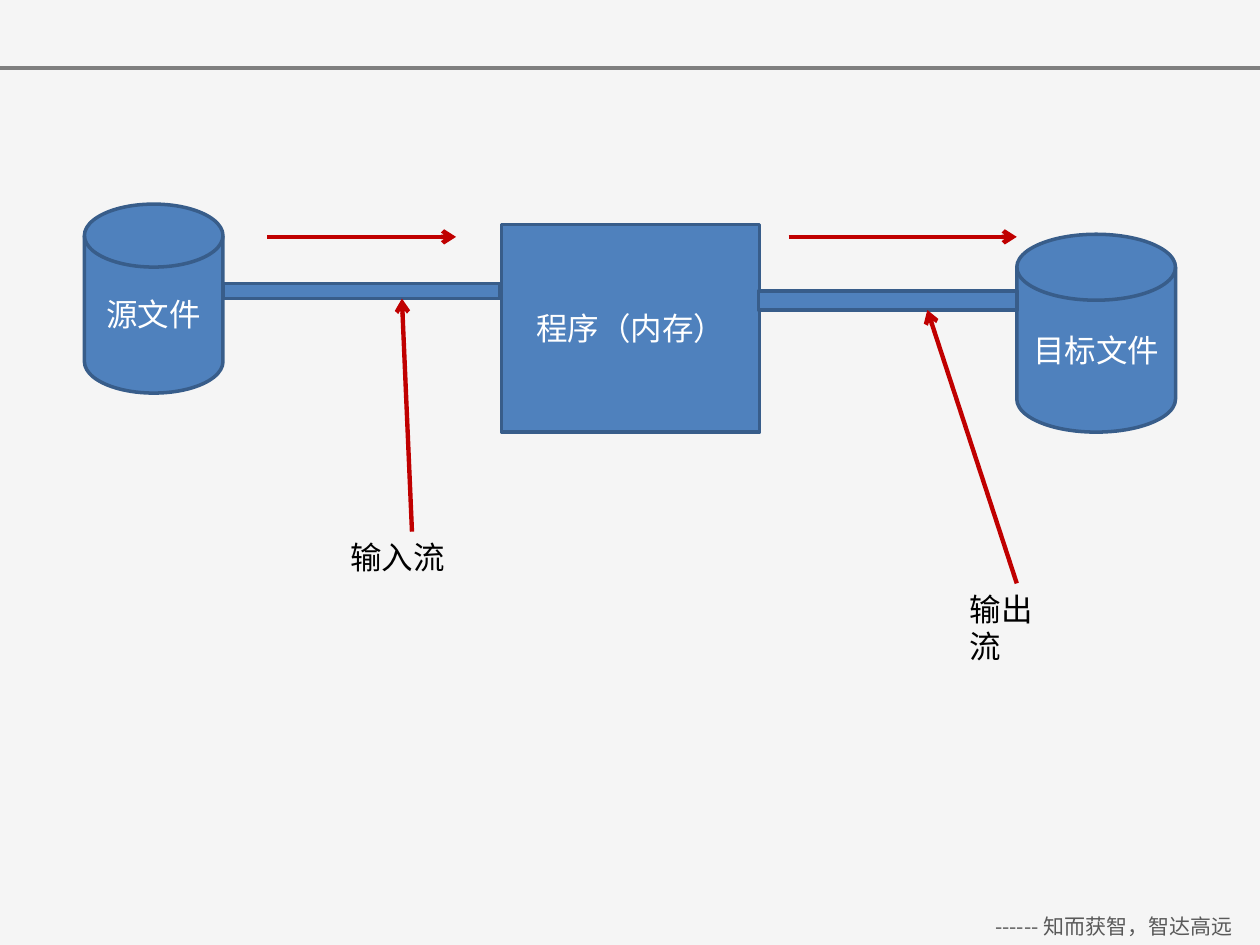
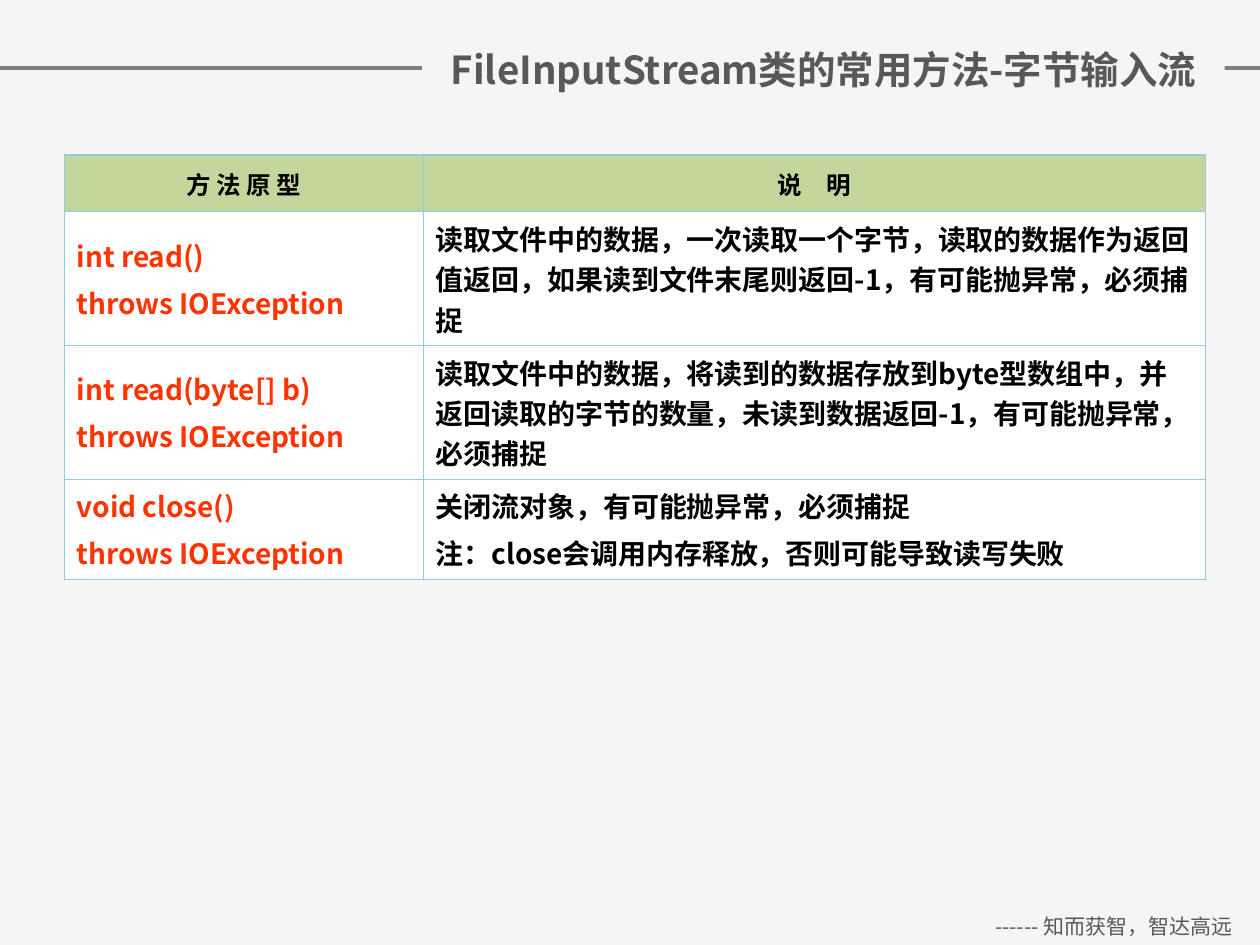
from dataclasses import dataclass

from pptx import Presentation
from pptx.dml.color import RGBColor
from pptx.enum.shapes import MSO_CONNECTOR, MSO_SHAPE as Shape
from pptx.enum.text import MSO_ANCHOR as Anchor, PP_ALIGN as Align
from pptx.oxml.xmlchemy import OxmlElement
from pptx.util import Inches, Pt

TITLE_ONLY, BLANK = 5, 6
TOP_SIDE = 0


@dataclass(frozen=True)
class Theme:
    background: str = "F5F5F5"
    rule: str = "7F7F7F"
    footer: str = "595959"
    title: str = "595758"
    node: str = "4F81BD"
    node_edge: str = "385D8A"
    arrow: str = "C00000"
    grid: str = "93CDDD"
    header: str = "C3D69B"
    method: str = "FF3300"
    white: str = "FFFFFF"
    black: str = "000000"
    cjk_font: str = "Noto Sans CJK SC"
    node_font: str = "Calibri"
    label_font: str = "Arial"
    title_size: float = 22
    diagram_size: float = 18
    body_size: float = 16
    header_size: float = 14
    footer_size: float = 12
    paragraph_gap: float = 4
    outer_border: float = 0.75
    inner_border: float = 0.45


THEME = Theme()


def rgb(value):
    return RGBColor.from_string(value)


def box(*lengths):
    return [Inches(length) for length in lengths]


def write(frame, text, size, color, font=THEME.cjk_font, bold=False,
          align=Align.LEFT):
    """Fill a text frame, one paragraph for each line of text."""
    for index, line in enumerate(text.split("\n")):
        paragraph = frame.paragraphs[0] if index == 0 else frame.add_paragraph()
        paragraph.alignment = align
        if index:
            paragraph.space_before = Pt(THEME.paragraph_gap)
        run = paragraph.add_run()
        run.text = line
        run.font.name = font
        run.font.size = Pt(size)
        run.font.bold = bold
        run.font.color.rgb = rgb(color)
        east_asian = OxmlElement("a:ea")
        east_asian.set("typeface", THEME.cjk_font)
        run.font._element.append(east_asian)


def add_line(slide, start, end, color, width, arrow=False):
    line = slide.shapes.add_connector(MSO_CONNECTOR.STRAIGHT, *box(*start, *end))
    line.line.color.rgb = rgb(color)
    line.line.width = Pt(width)
    if arrow:
        head = OxmlElement("a:tailEnd")
        head.set("type", "arrow")
        line.line._get_or_add_ln().append(head)
    line._element.spPr.append(OxmlElement("a:effectLst"))
    return line


def add_label(slide, bounds, text, **style):
    label = slide.shapes.add_textbox(*box(*bounds))
    label.text_frame.word_wrap = False
    write(label.text_frame, text, **style)
    return label


def add_node(slide, kind, bounds, text=""):
    node = slide.shapes.add_shape(kind, *box(*bounds))
    node.shadow.inherit = False
    node.fill.solid()
    node.fill.fore_color.rgb = rgb(THEME.node)
    node.line.color.rgb = rgb(THEME.node_edge)
    node.line.width = Pt(2)
    if text:
        node.text_frame.vertical_anchor = Anchor.MIDDLE
        write(node.text_frame, text, THEME.diagram_size, THEME.white,
              font=THEME.node_font, align=Align.CENTER)


def add_stream_label(slide, bounds, text, target):
    """Name a stream and point from the name to its pipe."""
    label = add_label(slide, bounds, text, size=THEME.diagram_size,
                      color=THEME.black, font=THEME.label_font)
    left, top, width, _ = bounds
    pointer = add_line(slide, (left + width / 2, top), target,
                       THEME.arrow, 2.5, arrow=True)
    pointer.begin_connect(label, TOP_SIDE)


def add_slide(deck, layout):
    """Add a slide with the shared top rule and footer motto."""
    slide = deck.slides.add_slide(deck.slide_layouts[layout])
    add_line(slide, (0, 0.54), (10, 0.54), THEME.rule, 2)
    add_label(slide, (7.68, 7.2, 2.32, 0.3), "------ 知而获智，智达高远",
              size=THEME.footer_size, color=THEME.footer, align=Align.CENTER)
    return slide


def set_title(slide, text):
    """Write the title on a plate that interrupts the top rule."""
    title = slide.shapes.title
    title.left, title.top, title.width, title.height = box(3.35, 0.26, 6.37, 0.57)
    title.fill.solid()
    title.fill.fore_color.rgb = rgb(THEME.background)
    frame = title.text_frame
    frame.margin_left = frame.margin_right = Inches(0.05)
    frame.margin_top = frame.margin_bottom = 0
    frame.vertical_anchor = Anchor.MIDDLE
    frame.word_wrap = True
    write(frame, text, THEME.title_size, THEME.title, bold=True,
          align=Align.CENTER)
    slide.shapes.element.append(title.element)


def set_border(cell, side, width):
    edge = OxmlElement(f"a:ln{side}")
    edge.set("w", str(Pt(width)))
    fill = OxmlElement("a:solidFill")
    color = OxmlElement("a:srgbClr")
    color.set("val", THEME.grid)
    fill.append(color)
    edge.append(fill)
    cell._tc.get_or_add_tcPr().append(edge)


def add_method_table(slide, left, top, widths, heights, rows):
    table = slide.shapes.add_table(
        len(rows), len(widths), *box(left, top, sum(widths), sum(heights))).table
    table.first_row = table.horz_banding = False
    for column, width in zip(table.columns, widths):
        column.width = Inches(width)
    last_row, last_column = len(rows) - 1, len(widths) - 1
    for r, (row, height) in enumerate(zip(rows, heights)):
        table.rows[r].height = Inches(height)
        for c, text in enumerate(row):
            cell = table.cell(r, c)
            on_edge = {"L": c == 0, "R": c == last_column,
                       "T": r == 0, "B": r == last_row}
            for side, outer in on_edge.items():
                set_border(cell, side,
                           THEME.outer_border if outer else THEME.inner_border)
            is_header = r == 0
            cell.fill.solid()
            cell.fill.fore_color.rgb = rgb(THEME.header if is_header else THEME.white)
            cell.vertical_anchor = Anchor.MIDDLE
            write(cell.text_frame, text, bold=True,
                  size=THEME.header_size if is_header else THEME.body_size,
                  color=THEME.method if r and c == 0 else THEME.black,
                  align=Align.CENTER if is_header else Align.LEFT)


def build_stream_diagram(deck):
    slide = add_slide(deck, BLANK)
    disk = Shape.FLOWCHART_MAGNETIC_DISK
    add_node(slide, disk, (0.67, 1.62, 1.1, 1.5), "源文件")
    add_node(slide, Shape.RECTANGLE, (3.98, 1.78, 2.05, 1.65), "程序（内存）")
    add_node(slide, disk, (8.07, 1.86, 1.26, 1.57), "目标文件")
    for pipe in ((1.77, 2.25, 2.2, 0.12), (6.02, 2.31, 2.05, 0.15)):
        add_node(slide, Shape.RECTANGLE, pipe)
    for flow_start, flow_end in ((2.12, 3.62), (6.26, 8.07)):
        add_line(slide, (flow_start, 1.88), (flow_end, 1.88),
                 THEME.arrow, 2.5, arrow=True)
    add_stream_label(slide, (2.68, 4.22, 1.18, 0.4), "输入流", (3.19, 2.37))
    add_stream_label(slide, (7.6, 4.63, 0.94, 0.4), "输出流", (7.36, 2.46))


def build_method_slide(deck):
    slide = add_slide(deck, TITLE_ONLY)
    set_title(slide, "FileInputStream类的常用方法-字节输入流")
    rows = [
        ("方 法 原 型", "说　明"),
        ("int read()\nthrows IOException",
         "读取文件中的数据，一次读取一个字节，读取的数据作为返回值返回，"
         "如果读到文件末尾则返回-1，有可能抛异常，必须捕捉"),
        ("int read(byte[] b)\nthrows IOException",
         "读取文件中的数据，将读到的数据存放到byte型数组中，"
         "并返回读取的字节的数量，未读到数据返回-1，有可能抛异常，必须捕捉"),
        ("void close()\nthrows IOException",
         "关闭流对象，有可能抛异常，必须捕捉\n"
         "注：close会调用内存释放，否则可能导致读写失败"),
    ]
    add_method_table(slide, 0.51, 1.23, widths=(2.85, 6.21),
                     heights=(0.45, 1.06, 1.06, 0.79), rows=rows)


def main():
    deck = Presentation()
    deck.slide_width, deck.slide_height = box(10, 7.5)
    backdrop = deck.slide_master.background.fill
    backdrop.solid()
    backdrop.fore_color.rgb = rgb(THEME.background)
    build_stream_diagram(deck)
    build_method_slide(deck)
    deck.save("out.pptx")


if __name__ == "__main__":
    main()
